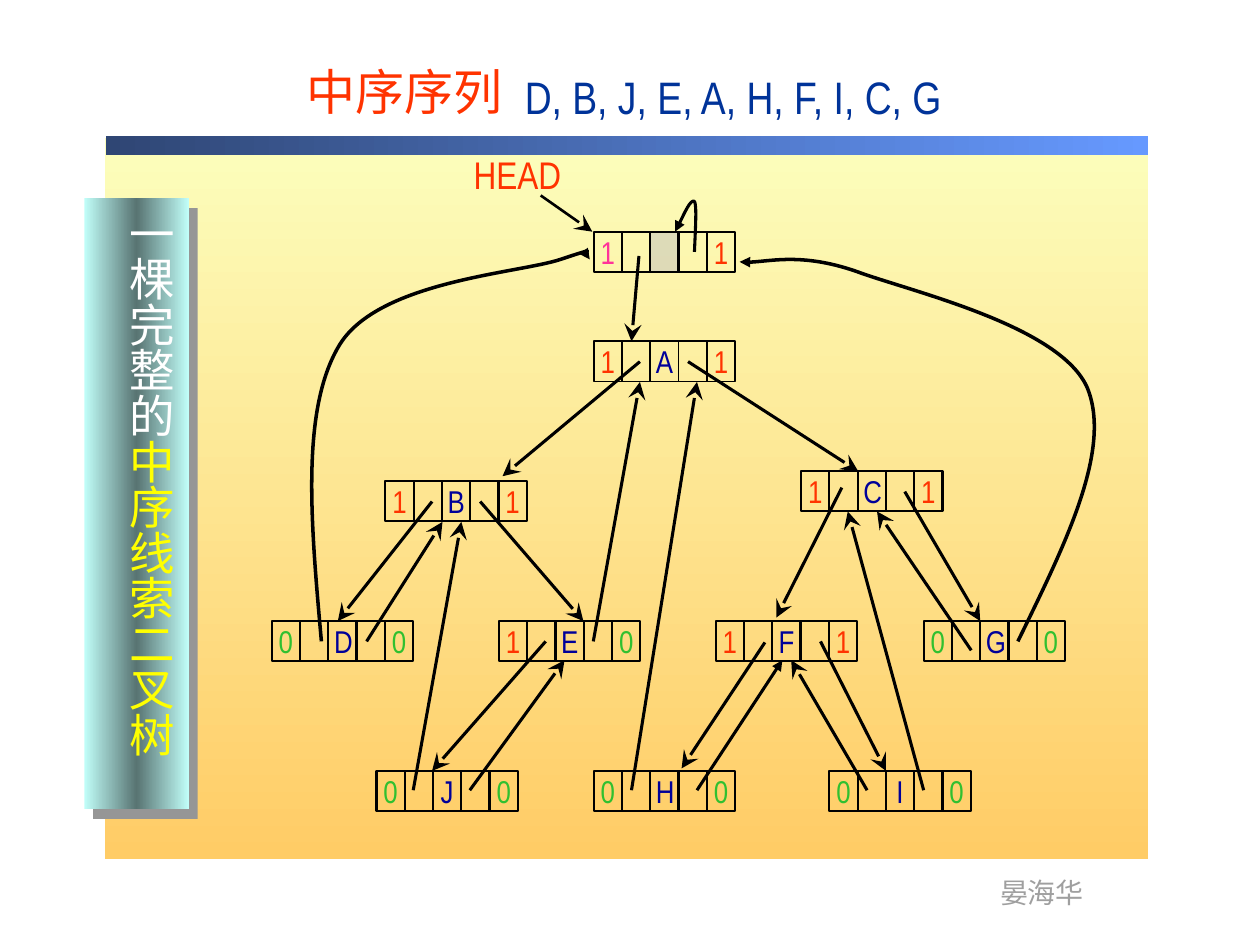
from lxml.etree import SubElement
from pptx import Presentation
from pptx.dml.color import RGBColor
from pptx.enum.shapes import MSO_CONNECTOR, MSO_SHAPE
from pptx.enum.text import MSO_ANCHOR, PP_ALIGN
from pptx.oxml.ns import qn
from pptx.util import Cm, Pt

LATIN, CJK = "Arial Narrow", "Noto Sans CJK SC"
RED, GREEN, NAVY, PINK = "FF3300", "30C030", "000099", "FF3399"
CELL_W, CELL_H = 0.57, 0.81

rgb = RGBColor.from_string


def add_run(paragraph, text, size, color, font=LATIN, shadow=False):
    run = paragraph.add_run()
    run.text = text
    run.font.size = Pt(size)
    run.font.name = font
    run.font.color.rgb = rgb(color)
    props = run.font._element
    if shadow:
        effects = SubElement(props, qn("a:effectLst"))
        drop = SubElement(effects, qn("a:outerShdw"), dist="25400", dir="2700000")
        SubElement(drop, qn("a:srgbClr"), val="000000")
        props.find(qn("a:solidFill")).addnext(effects)
    east_asian = SubElement(props, qn("a:ea"), typeface=CJK)
    props.find(qn("a:latin")).addnext(east_asian)


def add_text(left, top, width, height, wrap=True):
    """Add an empty text box and return its frame."""
    frame = slide.shapes.add_textbox(Cm(left), Cm(top), Cm(width), Cm(height)).text_frame
    frame.word_wrap = wrap
    return frame


prs = Presentation()
prs.slide_width, prs.slide_height = Cm(25.4), Cm(19.05)
slide = prs.slides.add_slide(prs.slide_layouts[5])

# Title
title = slide.shapes.title
title.left, title.top, title.width, title.height = Cm(5.92), Cm(1.12), Cm(5.51), Cm(1.45)
title.text_frame.vertical_anchor = MSO_ANCHOR.TOP
heading = title.text_frame.paragraphs[0]
heading.alignment = PP_ALIGN.LEFT
add_run(heading, "中序序列", 28, RED, CJK, shadow=True)

# Background panel, title rule and sidebar: left, top, width, height, angle, stops
panels = [
    (2.11, 2.79, 21.03, 14.53, 270, ["FCFEBC", "FFCC66"]),
    (2.13, 2.74, 21.01, 0.38, 0, ["2F4674", "6699FF"]),
    (1.7, 3.99, 2.11, 12.32, 0, ["C1FEF9", "587472", "C1FEF9"]),
]
for left, top, width, height, angle, colors in panels:
    panel = slide.shapes.add_shape(MSO_SHAPE.RECTANGLE, Cm(left), Cm(top), Cm(width), Cm(height))
    panel.shadow.inherit = False
    panel.line.fill.background()
    panel.fill.gradient()
    panel.fill.gradient_angle = angle
    stops = panel._element.spPr.find(".//" + qn("a:gsLst"))
    stops.clear()
    for i, color in enumerate(colors):
        stop = SubElement(stops, qn("a:gs"), pos=str(100000 * i // (len(colors) - 1)))
        SubElement(stop, qn("a:srgbClr"), val=color)

# The sidebar is the last panel and the only one with a shadow
effects = panel._element.spPr.find(qn("a:effectLst"))
drop = SubElement(effects, qn("a:outerShdw"), dist=str(Pt(7.8)), dir="3000000", algn="ctr", rotWithShape="0")
SubElement(drop, qn("a:srgbClr"), val="969696")

sidebar = add_text(2.08, 4.01, 1.5, 11.94)
sidebar._element.find(qn("a:bodyPr")).set("vert", "eaVert")
caption = sidebar.paragraphs[0]
caption.line_spacing = 0.9
add_run(caption, "一棵完整的", 26, "FFFFFF", shadow=True)
add_run(caption, "中序线索二叉树", 26, "FFFF00", shadow=True)

sequence = add_text(9.7, 1.27, 12.8, 1.35)
sequence.margin_left = Cm(0.88)
add_run(sequence.paragraphs[0], "D, B, J, E, A, H, F, I, C, G", 26, "003399")
add_run(add_text(9.3, 2.92, 3.2, 1.19).paragraphs[0], "HEAD", 22, RED)
add_run(add_text(19.91, 17.53, 2.21, 0.94, wrap=False).paragraphs[0], "晏海华", 16, "9F9F9F")

# Tree nodes: letter, left, top, left tag, right tag
nodes = [
    ("", 11.97, 4.67, "1", "1"),
    ("A", 11.97, 6.88, "1", "1"),
    ("B", 7.77, 9.7, "1", "1"),
    ("C", 16.15, 9.5, "1", "1"),
    ("D", 5.48, 12.52, "0", "0"),
    ("E", 10.06, 12.52, "1", "0"),
    ("F", 14.43, 12.52, "1", "1"),
    ("G", 18.62, 12.52, "0", "0"),
    ("J", 7.59, 15.54, "0", "0"),
    ("H", 11.97, 15.54, "0", "0"),
    ("I", 16.72, 15.54, "0", "0"),
]
for letter, left, top, left_tag, right_tag in nodes:
    for column, label in enumerate([left_tag, "", letter, "", right_tag]):
        x = left + column * CELL_W
        cell = slide.shapes.add_shape(MSO_SHAPE.RECTANGLE, Cm(x), Cm(top), Cm(CELL_W), Cm(CELL_H))
        cell.shadow.inherit = False
        cell.fill.background()
        cell.line.color.rgb = rgb("000000")
        cell.line.width = Pt(1 if letter == "A" else 1.25)
        if column == 2 and not letter:
            cell.fill.solid()
            cell.fill.fore_color.rgb = rgb("C0C0C0")
            gray = cell._element.spPr.find(qn("a:solidFill"))[0]
            SubElement(gray, qn("a:alpha"), val="50000")
        if label:
            color = {"0": GREEN, "1": RED}.get(label, NAVY)
            if column == 0 and not letter:
                color = PINK
            text = add_text(x + CELL_W / 2 - 0.42, top - 0.1, 0.84, 1.02, wrap=False).paragraphs[0]
            text.alignment = PP_ALIGN.CENTER
            add_run(text, label, 18, color)

# Straight links: from x, y to x, y
links = [
    (10.9, 3.94, 11.94, 4.67),  # HEAD label
    (12.88, 5.16, 12.73, 6.88),  # head to A
    (12.9, 7.29, 10.13, 9.6),  # A to B
    (13.87, 7.29, 17.3, 9.5),  # A to C
    (8.71, 10.11, 6.81, 12.52),  # B to D
    (9.68, 10.11, 11.76, 12.52),  # B to E
    (16.97, 9.83, 15.65, 12.45),  # C to F
    (18.24, 9.91, 19.76, 12.52),  # C to G
    (11, 12.93, 8.71, 15.54),  # E to J
    (15.42, 12.95, 13.74, 15.49),  # F to H
    (16.54, 12.93, 17.86, 15.54),  # F to I
    (7.39, 12.93, 8.92, 10.52),  # D to B
    (8.33, 15.93, 9.3, 10.52),  # J to B
    (9.47, 15.93, 11.38, 13.31),  # J to E
    (11.96, 12.93, 12.9, 7.7),  # E to A
    (12.73, 15.93, 14.05, 7.7),  # H to A
    (14.05, 15.93, 15.77, 13.31),  # H to F
    (17.48, 15.93, 15.95, 13.31),  # I to F
    (18.62, 15.93, 17.09, 10.31),  # I to C
    (19.58, 13.11, 17.68, 10.31),  # G to C
]
H_TO_F = links[16]
arrows = []
for link in links:
    arrow = slide.shapes.add_connector(MSO_CONNECTOR.STRAIGHT, *map(Cm, link))
    SubElement(arrow._element.spPr, qn("a:effectLst"))
    head = ("triangle", "med") if link == H_TO_F else ("stealth", "lg")
    arrows.append((arrow, 1.5 if link == links[0] else 1.75, head))

# Curved threads: width, start point, then Bezier points in threes
threads = [
    (2, [(6.48, 12.93), (6.27, 10.57), (6.05, 8.23), (6.86, 6.93), (7.67, 5.66),
         (10.46, 5.51), (11.3, 5.23), (12.14, 4.95), (11.84, 5.23), (11.89, 5.23)]),
    (2, [(20.52, 12.93), (21.46, 11), (22.43, 9.07), (21.92, 7.82), (21.39, 6.6),
         (18.54, 5.92), (17.37, 5.51), (16.21, 5.08), (15.27, 5.33), (14.91, 5.28)]),
    (1.75, [(14, 5.08), (14.02, 4.6), (14.05, 4.14), (14, 4.06),
            (13.92, 4.01), (13.67, 4.57), (13.61, 4.67)]),
]
for width, points in threads:
    start, *controls = [(Cm(x), Cm(y)) for x, y in points]
    builder = slide.shapes.build_freeform(*start)
    builder.add_line_segments(controls, close=False)
    thread = builder.convert_to_shape()
    thread.shadow.inherit = False
    thread.fill.background()
    outline = thread._element.spPr.find(".//" + qn("a:path"))
    segments = outline.findall(qn("a:lnTo"))
    for i in range(0, len(segments), 3):
        curve = SubElement(outline, qn("a:cubicBezTo"))
        for segment in segments[i:i + 3]:
            curve.append(segment[0])
            outline.remove(segment)
    arrows.append((thread, width, ("triangle", "med")))

for arrow, width, (head, size) in arrows:
    arrow.line.color.rgb = rgb("000000")
    arrow.line.width = Pt(width)
    SubElement(arrow.line._get_or_add_ln(), qn("a:tailEnd"), type=head, w=size, len=size)

prs.save("out.pptx")
